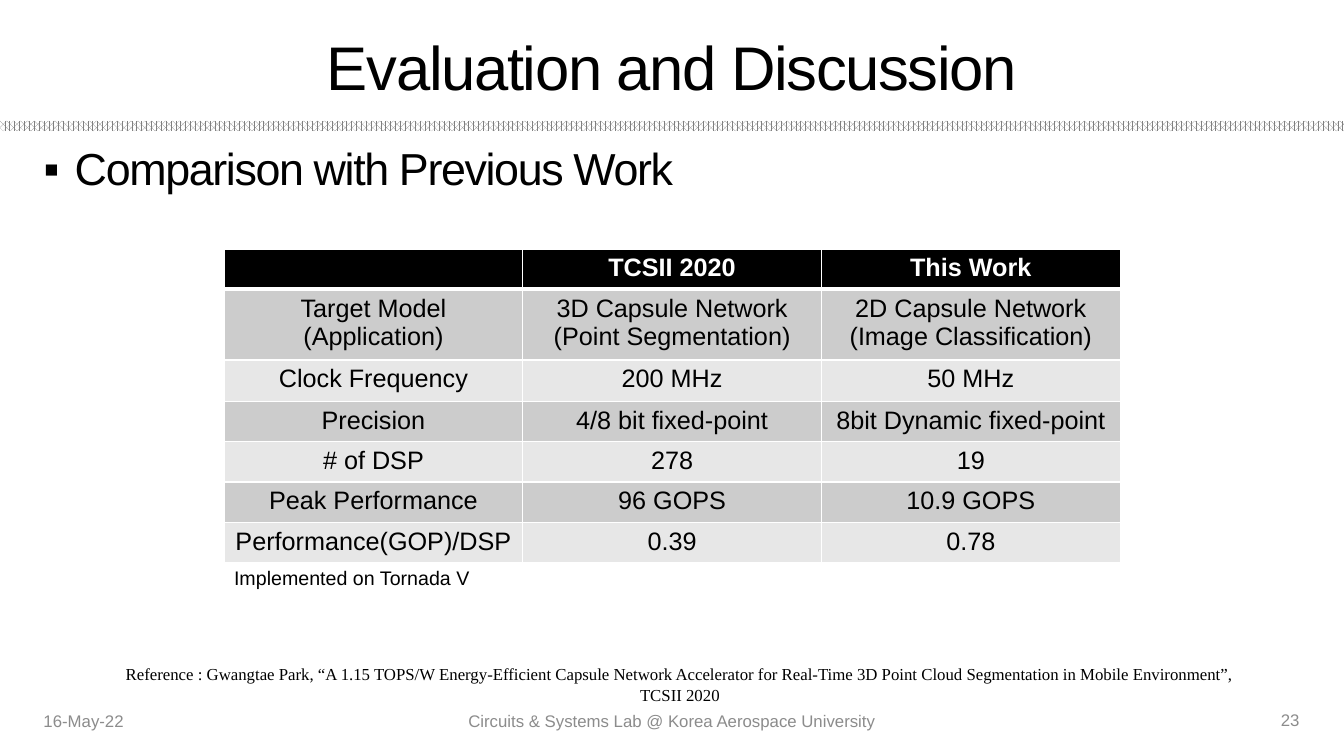
from lxml.etree import SubElement
from pptx import Presentation
from pptx.dml.color import RGBColor
from pptx.enum.dml import MSO_PATTERN
from pptx.enum.shapes import MSO_SHAPE
from pptx.enum.text import MSO_ANCHOR, PP_ALIGN
from pptx.oxml.ns import qn
from pptx.util import Inches, Pt

WIDE, HIGH = Inches(13.33), Inches(7.5)
COL, ROW = WIDE / 40, HIGH / 30  # page grid of 40 columns by 30 rows

BLACK = RGBColor(0x00, 0x00, 0x00)
WHITE = RGBColor(0xFF, 0xFF, 0xFF)
GRAY = RGBColor(0x80, 0x80, 0x80)
FOOT = RGBColor(0x8C, 0x8C, 0x8C)
DARK = RGBColor(0xCC, 0xCC, 0xCC)
LIGHT = RGBColor(0xE7, 0xE7, 0xE7)

CELLS = [
    ["", "TCSII 2020", "This Work"],
    ["Target Model\n(Application)", "3D Capsule Network\n(Point Segmentation)",
     "2D Capsule Network\n(Image Classification)"],
    ["Clock Frequency", "200 MHz", "50 MHz"],
    ["Precision", "4/8 bit fixed-point", "8bit Dynamic fixed-point"],
    ["# of DSP", "278", "19"],
    ["Peak Performance", "96 GOPS", "10.9 GOPS"],
    ["Performance(GOP)/DSP", "0.39", "0.78"],
]
TALL = [1.6, 2.64, 1.64] + [1.52] * 4  # table row heights in grid rows


def place(x, y, w, h):
    """Turn grid columns and rows into slide lengths."""
    return int(x * COL), int(y * ROW), int(w * COL), int(h * ROW)


def write(frame, text, size=12, font="Arial", color=BLACK, bold=False,
          align=PP_ALIGN.LEFT, track=0, left=0, hang=0, mark=None):
    """Fill a text frame, one paragraph a line."""
    for i, line in enumerate(text.split("\n")):
        para = frame.add_paragraph() if i else frame.paragraphs[0]
        para.alignment = align
        props = para._p.get_or_add_pPr()
        if left:
            props.set("marL", str(Inches(left)))
            props.set("indent", str(-Inches(hang)))
        if mark:
            para.line_spacing = 0.9
            SubElement(props, qn("a:buFont"), typeface="Arial")
            SubElement(props, qn("a:buChar"), char=mark)
        run = para.add_run()
        run.text = line
        run.font.size, run.font.name = Pt(size), font
        run.font.bold, run.font.color.rgb = bold, color
        if track:
            run.font._element.set("spc", str(track * 100))


def label(slide, spot, text, anchor=MSO_ANCHOR.TOP, wrap=True, **style):
    """Add a text box on the grid."""
    frame = slide.shapes.add_textbox(*place(*spot)).text_frame
    frame.word_wrap = wrap
    frame.vertical_anchor = anchor
    write(frame, text, **style)


def band(slide):
    """Add the patterned rule below the title."""
    bar = slide.shapes.add_shape(MSO_SHAPE.RECTANGLE, *place(0, 4.8, 40, 0.4))
    bar.shadow.inherit = False
    bar.line.fill.background()
    bar.fill.patterned()
    bar.fill.pattern = MSO_PATTERN.PERCENT_70
    bar.fill.fore_color.rgb, bar.fill.back_color.rgb = GRAY, WHITE


def edge(cell, head):
    """Draw white cell borders, thicker below the header."""
    props = cell._tc.get_or_add_tcPr()
    for i, side in enumerate(("lnL", "lnR", "lnT", "lnB")):
        width = Pt(3 if head and side == "lnB" else 1)
        line = props.makeelement(qn("a:" + side), {"w": str(width)})
        fill = SubElement(line, qn("a:solidFill"))
        SubElement(fill, qn("a:srgbClr"), val=str(WHITE))
        props.insert(i, line)


def grid(slide, spot, cells):
    """Add the comparison table."""
    table = slide.shapes.add_table(
        len(cells), len(cells[0]), *place(*spot, sum(TALL))).table
    for r, texts in enumerate(cells):
        head = r == 0
        table.rows[r].height = int(TALL[r] * ROW)
        for c, text in enumerate(texts):
            cell = table.cell(r, c)
            cell.fill.solid()
            cell.fill.fore_color.rgb = BLACK if head else DARK if r % 2 else LIGHT
            edge(cell, head)
            write(cell.text_frame, text, size=18, bold=head,
                  color=WHITE if head else BLACK, align=PP_ALIGN.CENTER)


def main():
    deck = Presentation()
    deck.slide_width, deck.slide_height = WIDE, HIGH
    slide = deck.slides.add_slide(deck.slide_layouts[6])
    mid = MSO_ANCHOR.MIDDLE

    # Heading and topic
    band(slide)
    label(slide, (1, 0.88, 38, 3.48), "Evaluation and Discussion", anchor=mid,
          size=44, align=PP_ALIGN.CENTER, track=-1)
    label(slide, (1, 5.64, 38, 21.4), "Comparison with Previous Work",
          size=32, track=-1, left=0.31, hang=0.31, mark="▪")

    # Comparison table and its notes
    grid(slide, (6.67, 9.88, 26.67), CELLS)
    label(slide, (6.67, 22.28, 7.65, 1.36), "Implemented on Tornada V",
          wrap=False, size=14)
    label(slide, (-0.03, 26.16, 37.53, 2),
          "Reference : Gwangtae Park, “A 1.15 TOPS/W Energy-Efficient Capsule "
          "Network Accelerator for Real-Time 3D Point Cloud Segmentation in "
          "Mobile Environment”, TCSII 2020",
          font="Times New Roman", align=PP_ALIGN.CENTER, left=1)

    # Footer
    for x, y, w, text, align in (
            (1, 27.8, 9, "16-May-22", PP_ALIGN.LEFT),
            (13.25, 27.8, 13.5,
             "Circuits & Systems Lab @ Korea Aerospace University",
             PP_ALIGN.CENTER),
            (29.85, 27.76, 9.12, "23", PP_ALIGN.RIGHT)):
        label(slide, (x, y, w, 1.6), text, anchor=mid, color=FOOT, align=align)

    deck.save("out.pptx")


if __name__ == "__main__":
    main()
